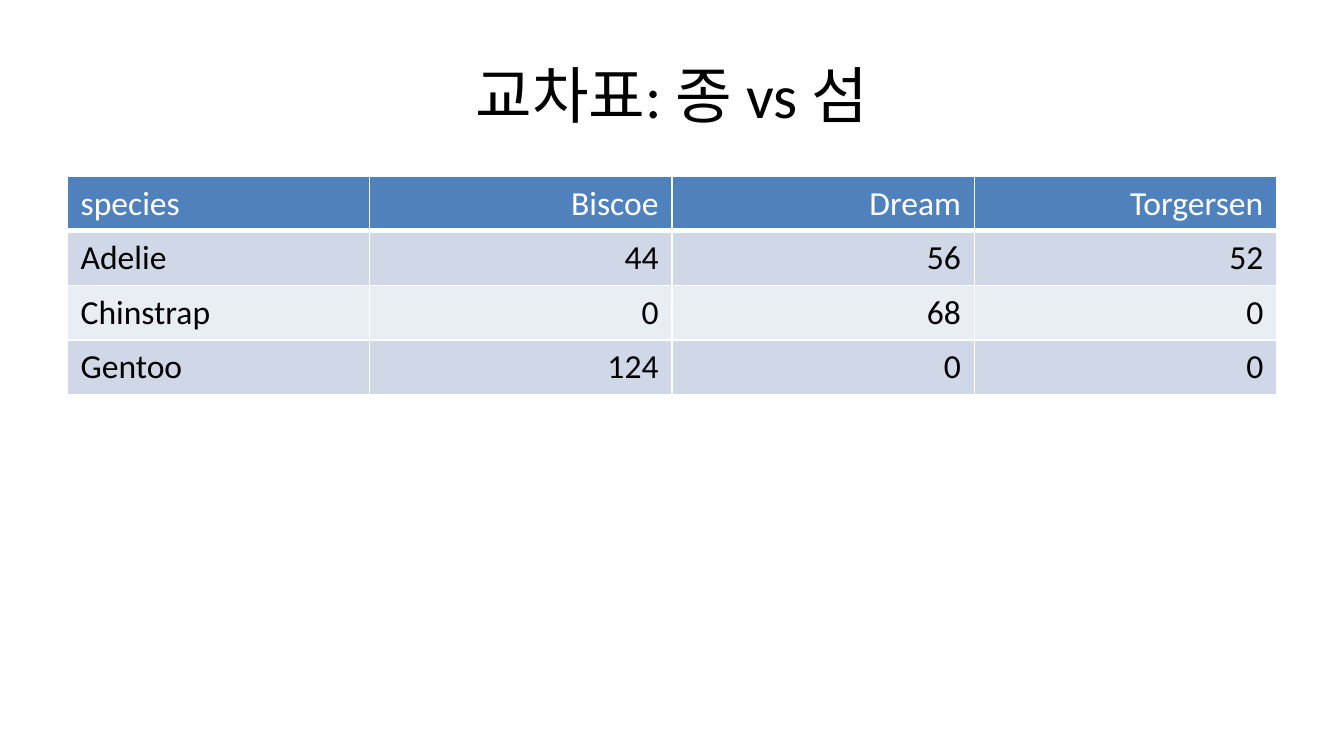
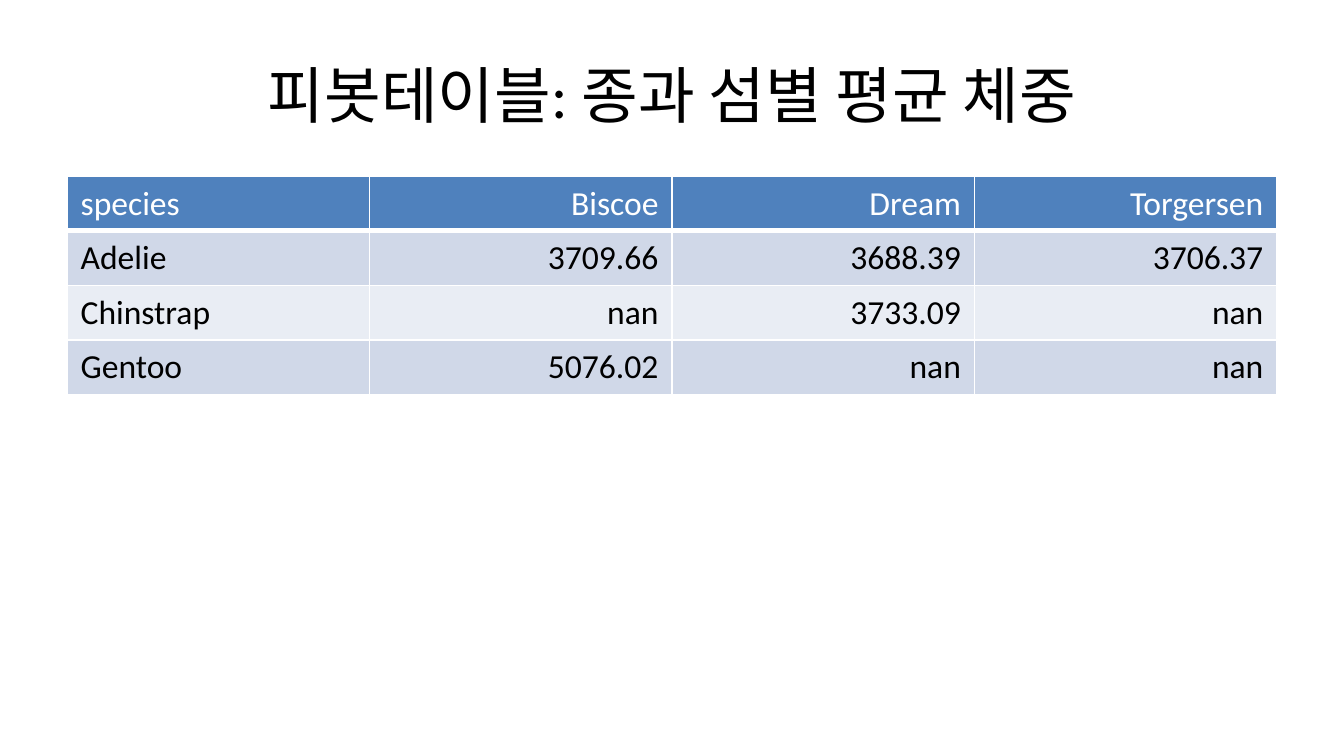
import pptx
import pptx.util
import pptx.dml.color
import pptx.enum.text
import pptx.oxml.ns
from lxml import etree

PX = 9525  # EMU per px, 96 px to the inch
FONT = "Calibri"
COLORS = {
    "text": "000000",
    "header": "4F81BD",
    "header_text": "FFFFFF",
    "odd_row": "D0D8E8",
    "even_row": "E9EDF4",
    "border": "FFFFFF",
}
LEFT, WIDTH = 48, 864
TITLE_TOP, TITLE_HEIGHT = 22, 90
TABLE_TOP, ROW_HEIGHT = 126, 39

ISLANDS = ["species", "Biscoe", "Dream", "Torgersen"]
SLIDES = [
    ("교차표: 종 vs 섬", [
        ["Adelie", "44", "56", "52"],
        ["Chinstrap", "0", "68", "0"],
        ["Gentoo", "124", "0", "0"],
    ]),
    ("피봇테이블: 종과 섬별 평균 체중", [
        ["Adelie", "3709.66", "3688.39", "3706.37"],
        ["Chinstrap", "nan", "3733.09", "nan"],
        ["Gentoo", "5076.02", "nan", "nan"],
    ]),
]


def style_paragraph(paragraph, size, color, align):
    paragraph.font.name = FONT
    paragraph.font.size = pptx.util.Pt(size)
    paragraph.font.color.rgb = pptx.dml.color.RGBColor.from_string(COLORS[color])
    paragraph.alignment = align


def add_borders(cell, bottom_width):
    properties = cell._tc.get_or_add_tcPr()
    for side, points in (("L", 1), ("R", 1), ("T", 1), ("B", bottom_width)):
        line = etree.SubElement(properties, pptx.oxml.ns.qn(f"a:ln{side}"),
                                w=str(pptx.util.Pt(points)))
        fill = etree.SubElement(line, pptx.oxml.ns.qn("a:solidFill"))
        etree.SubElement(fill, pptx.oxml.ns.qn("a:srgbClr"), val=COLORS["border"])


ALIGN = pptx.enum.text.PP_ALIGN
deck = pptx.Presentation()
deck.slide_width, deck.slide_height = 960 * PX, 540 * PX

for heading, species_rows in SLIDES:
    slide = deck.slides.add_slide(deck.slide_layouts[6])

    # Title
    title = slide.shapes.add_textbox(LEFT * PX, TITLE_TOP * PX,
                                     WIDTH * PX, TITLE_HEIGHT * PX).text_frame
    title.word_wrap = True
    title.vertical_anchor = pptx.enum.text.MSO_ANCHOR.MIDDLE
    title.text = heading
    style_paragraph(title.paragraphs[0], 33, "text", ALIGN.CENTER)

    # Species by island
    rows = [ISLANDS] + species_rows
    table = slide.shapes.add_table(len(rows), len(ISLANDS), LEFT * PX, TABLE_TOP * PX,
                                   WIDTH * PX, len(rows) * ROW_HEIGHT * PX).table
    for r, values in enumerate(rows):
        is_header = r == 0
        fill_color = "header" if is_header else "odd_row" if r % 2 else "even_row"
        for c, value in enumerate(values):
            cell = table.cell(r, c)
            cell.text = value
            style_paragraph(cell.text_frame.paragraphs[0], 18,
                            "header_text" if is_header else "text",
                            ALIGN.RIGHT if c else ALIGN.LEFT)
            cell.text_frame.paragraphs[0].font.bold = False
            add_borders(cell, 3 if is_header else 1)
            cell.fill.solid()
            cell.fill.fore_color.rgb = pptx.dml.color.RGBColor.from_string(COLORS[fill_color])

deck.save("out.pptx")
